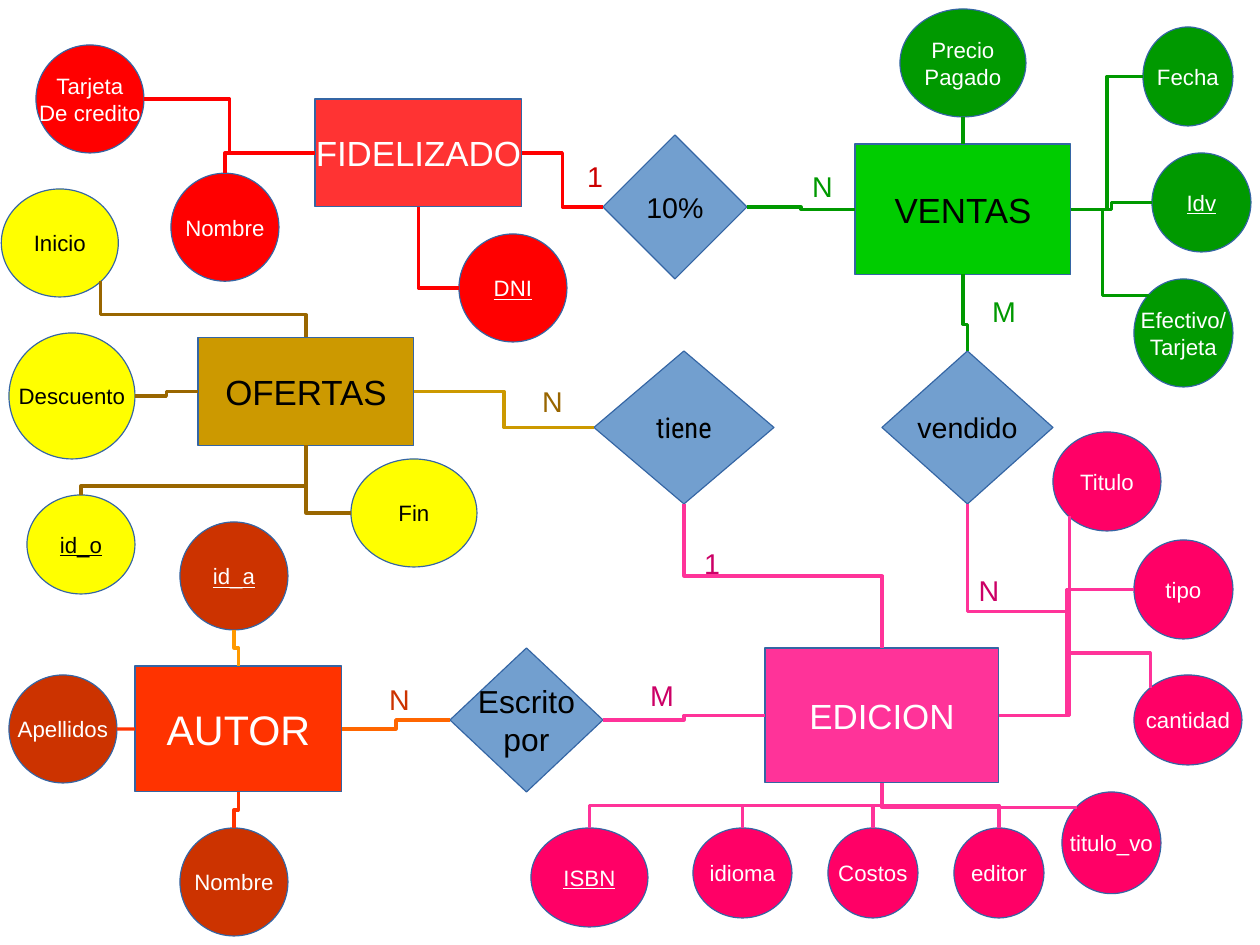
from lxml.etree import SubElement
from pptx import Presentation
from pptx.dml.color import RGBColor
from pptx.enum.shapes import MSO_CONNECTOR as Connector, MSO_SHAPE as Shape
from pptx.enum.text import MSO_ANCHOR as Anchor, PP_ALIGN as Align
from pptx.oxml.ns import qn
from pptx.util import Cm, Pt

COLORS = {
    "outline": "3465A4", "white": "FFFFFF", "black": "000000", "relation": "729FCF",
    "client": "FF3333", "client_attribute": "FF0000", "client_label": "CC0000",
    "sale": "00CC00", "sale_attribute": "009900",
    "offer": "CC9900", "offer_attribute": "FFFF00", "offer_line": "996600",
    "author": "FF3300", "author_attribute": "CC3300",
    "author_relation": "FF6600", "author_key": "FF9900",
    "edition": "FF3399", "edition_attribute": "FF0066", "edition_label": "CC0066",
}

# name: text, fill, font colour, size, (left, top, width, height) in cm
ENTITIES = {
    "fidelizado": ("FIDELIZADO", "client", "white", 22, (7, 2.2, 4.6, 2.4)),
    "ventas": ("VENTAS", "sale", "black", 22, (19, 3.2, 4.8, 2.9)),
    "ofertas": ("OFERTAS", "offer", "black", 22, (4.4, 7.5, 4.8, 2.4)),
    "autor": ("AUTOR", "author", "white", 26, (3, 14.8, 4.6, 2.8)),
    "edicion": ("EDICION", "edition", "white", 22, (17, 14.4, 5.2, 3)),
}
RELATIONS = {
    "descuento_10": ("10%", "relation", "black", 18, (13.4, 3, 3.2, 3.2)),
    "tiene": ("tiene", "relation", "black", 18, (13.2, 7.8, 4, 3.4)),
    "vendido": ("vendido", "relation", "black", 18, (19.6, 7.8, 3.8, 3.4)),
    "escrito": ("Escrito\npor", "relation", "black", 20, (10, 14.4, 3.4, 3.2)),
}
# fill, font colour, then name: text, box
ATTRIBUTE_GROUPS = [
    ("client_attribute", "white", {
        "tarjeta": ("Tarjeta\nDe credito", (0.8, 1, 2.4, 2.4)),
        "nombre_cliente": ("Nombre", (3.8, 3.85, 2.4, 2.4)),
        "dni": ("DNI", (10.2, 5.2, 2.4, 2.4)),
    }),
    ("sale_attribute", "white", {
        "precio": ("Precio\nPagado", (20, 0.2, 2.8, 2.4)),
        "fecha": ("Fecha", (25.4, 0.6, 2, 2.2)),
        "idv": ("Idv", (25.6, 3.4, 2.2, 2.2)),
        "efectivo": ("Efectivo/\nTarjeta", (25.2, 6.2, 2.2, 2.4)),
    }),
    ("offer_attribute", "black", {
        "inicio": ("Inicio", (0.03, 4.2, 2.6, 2.4)),
        "descuento": ("Descuento", (0.2, 7.4, 2.8, 2.8)),
        "id_o": ("id_o", (0.6, 11, 2.4, 2.2)),
        "fin": ("Fin", (7.8, 10.2, 2.8, 2.4)),
    }),
    ("author_attribute", "white", {
        "id_a": ("id_a", (4, 11.6, 2.4, 2.4)),
        "apellidos": ("Apellidos", (0.2, 15, 2.4, 2.4)),
        "nombre_autor": ("Nombre", (4, 18.4, 2.4, 2.4)),
    }),
    ("edition_attribute", "white", {
        "titulo": ("Titulo", (23.4, 9.6, 2.4, 2.2)),
        "tipo": ("tipo", (25.2, 12, 2.2, 2.2)),
        "cantidad": ("cantidad", (25.2, 15, 2.4, 2)),
        "titulo_vo": ("titulo_vo", (23.6, 17.6, 2.2, 2.26)),
        "isbn": ("ISBN", (11.8, 18.4, 2.6, 2.2)),
        "idioma": ("idioma", (15.4, 18.4, 2.2, 2)),
        "costos": ("Costos", (18.4, 18.4, 2, 2)),
        "editor": ("editor", (21.2, 18.4, 2, 2)),
    }),
]
KEYS = {"dni", "idv", "id_o", "id_a", "isbn"}
FONTS = {"tiene": "Roboto Condensed"}

# text, colour, left, top in cm
CARDINALITIES = [
    ("1", "client_label", 12.8, 3.4), ("N", "sale_attribute", 17.8, 3.63),
    ("M", "sale_attribute", 21.8, 6.4), ("N", "edition_label", 21.5, 12.6),
    ("1", "edition_label", 15.4, 12), ("N", "offer_line", 11.8, 8.4),
    ("N", "author_attribute", 8.4, 15.04), ("M", "edition_label", 14.2, 14.94),
]

# Points of a node as fractions of its box
SITES = {
    "top": (0.5, 0), "left": (0, 0.5), "bottom": (0.5, 1), "right": (1, 0.5),
    "nw": (0.15, 0.15), "sw": (0.15, 0.85), "se": (0.85, 0.85),
    "beside": (1.3, 0.5), "above": (0.5, -0.54),
}
SIDE_INDEX = {"top": 0, "left": 1, "bottom": 2, "right": 3}

# start, end, colour, first direction, bend positions (none: a single corner)
MIDDLE = (0.5,)
ELBOWS = [
    ("tarjeta right", "fidelizado left", "client_attribute", "H", MIDDLE),
    ("nombre_cliente top", "fidelizado left", "client_attribute", "V", ()),
    ("fidelizado bottom", "dni left", "client_attribute", "V", ()),
    ("fidelizado right", "descuento_10 left", "client_attribute", "H", MIDDLE),
    ("descuento_10 right", "ventas left", "sale_attribute", "H", MIDDLE),
    ("ventas right", "fecha left", "sale_attribute", "H", MIDDLE),
    ("ventas right", "idv left", "sale_attribute", "H", MIDDLE),
    ("ventas right", "efectivo nw", "sale_attribute", "H", (0.41,)),
    ("vendido top", "ventas bottom", "sale_attribute", "V", (0.35,)),
    ("ofertas top", "inicio se", "offer_line", "V", (0.4,)),
    ("descuento right", "ofertas left", "offer_line", "H", MIDDLE),
    ("id_o top", "ofertas bottom", "offer_line", "V", (0.18,)),
    ("ofertas bottom", "fin left", "offer_line", "V", ()),
    ("ofertas right", "tiene left", "offer", "H", MIDDLE),
    ("id_a bottom", "autor top", "author_key", "V", MIDDLE),
    ("nombre_autor top", "autor bottom", "author", "V", MIDDLE),
    ("autor right", "escrito left", "author_relation", "H", MIDDLE),
    ("escrito right", "edicion left", "edition", "H", MIDDLE),
    ("tiene bottom", "edicion top", "edition", "V", MIDDLE),
    ("vendido bottom", "edicion beside", "edition", "V", (0.51,)),
    ("titulo sw", "edicion right", "edition", "V", ()),
    ("tipo left", "edicion right", "edition", "H", MIDDLE),
    ("cantidad nw", "edicion right", "edition", "V", (-1.31, 0.55)),
    ("edicion bottom", "titulo_vo nw", "edition", "V", ()),
] + [(f"{name} top", "edicion bottom", "edition", "V", MIDDLE)
     for name in ("isbn", "idioma", "costos", "editor")]
STRAIGHTS = [
    ("ventas top", "precio bottom", "sale_attribute"),
    ("autor left", "apellidos right", "author"),
    ("edicion top", "edicion above", "edition"),
]
# (goes right, goes down): rotation, flipH, flipV of a path that starts vertically
VERTICAL_START = {
    (False, True): (90, 0, 0), (True, True): (270, 1, 0),
    (True, False): (90, 1, 1), (False, False): (270, 0, 1),
}


def rgb(name):
    return RGBColor.from_string(COLORS[name])


def format_text(text_frame, text, color, size, font="Arial", underline=None, align=None):
    text_frame.text = text
    for paragraph in text_frame.paragraphs:
        paragraph.alignment = align
        for run in paragraph.runs:
            run.font.name, run.font.size = font, Pt(size)
            run.font.color.rgb = rgb(color)
            run.font.underline = underline


def add_node(slide, kind, name, text, fill, color, size, box):
    shape = slide.shapes.add_shape(kind, *map(Cm, box))
    shape.shadow.inherit = False
    shape.fill.solid()
    shape.fill.fore_color.rgb = rgb(fill)
    shape.line.color.rgb = rgb("outline")
    shape.line.width = Pt(0)
    shape.text_frame.word_wrap = False
    shape.text_frame.vertical_anchor = Anchor.MIDDLE
    format_text(shape.text_frame, text, color, size, FONTS.get(name, "Arial"),
                True if name in KEYS else None, Align.CENTER)
    return shape


def site_point(nodes, site):
    name, side = site.split()
    node, (across, down) = nodes[name], SITES[side]
    return round(node.left + across * node.width), round(node.top + down * node.height)


def add_line(slide, kind, start, end, color):
    connector = slide.shapes.add_connector(kind, *start, *end)
    connector.line.color.rgb = rgb(color)
    connector.line.width = Pt(0)
    SubElement(connector.element.spPr, qn("a:effectLst"))
    return connector


def bend(connector, start, end, direction, bends):
    """Set the bend positions, and turn the connector if it starts vertically."""
    geometry = connector.element.spPr.find(qn("a:prstGeom"))
    geometry.set("prst", f"bentConnector{len(bends) + 2}")
    guides = geometry.find(qn("a:avLst"))
    for number, position in enumerate(bends, 1):
        SubElement(guides, qn("a:gd"), name=f"adj{number}", fmla=f"val {round(position * 100000)}")
    if direction == "V":
        dx, dy = end[0] - start[0], end[1] - start[1]
        connector.width, connector.height = abs(dy), abs(dx)
        connector.left = (start[0] + end[0] - abs(dy)) // 2
        connector.top = (start[1] + end[1] - abs(dx)) // 2
        rotation, flip_h, flip_v = VERTICAL_START[dx > 0, dy > 0]
        transform = connector.element.spPr.find(qn("a:xfrm"))
        transform.set("rot", str(rotation * 60000))
        transform.set("flipH", str(flip_h))
        transform.set("flipV", str(flip_v))


def main():
    presentation = Presentation()
    presentation.slide_width, presentation.slide_height = Cm(28), Cm(21)
    slide = presentation.slides.add_slide(presentation.slide_layouts[6])

    nodes = {}
    for kind, group in ((Shape.RECTANGLE, ENTITIES), (Shape.DIAMOND, RELATIONS)):
        for name, details in group.items():
            nodes[name] = add_node(slide, kind, name, *details)
    for fill, color, attributes in ATTRIBUTE_GROUPS:
        for name, (text, box) in attributes.items():
            nodes[name] = add_node(slide, Shape.OVAL, name, text, fill, color, 14, box)

    for start_site, end_site, color, direction, bends in ELBOWS:
        start, end = site_point(nodes, start_site), site_point(nodes, end_site)
        connector = add_line(slide, Connector.ELBOW, start, end, color)
        bend(connector, start, end, direction, bends)
    for start_site, end_site, color in STRAIGHTS:
        start, end = site_point(nodes, start_site), site_point(nodes, end_site)
        connector = add_line(slide, Connector.STRAIGHT, start, end, color)
        name, side = start_site.split()
        connector.begin_connect(nodes[name], SIDE_INDEX[side])

    for text, color, left, top in CARDINALITIES:
        label = slide.shapes.add_textbox(Cm(left), Cm(top), Cm(1.2), Cm(1))
        label.text_frame.word_wrap = True
        format_text(label.text_frame, text, color, 18)

    presentation.save("out.pptx")


if __name__ == "__main__":
    main()
